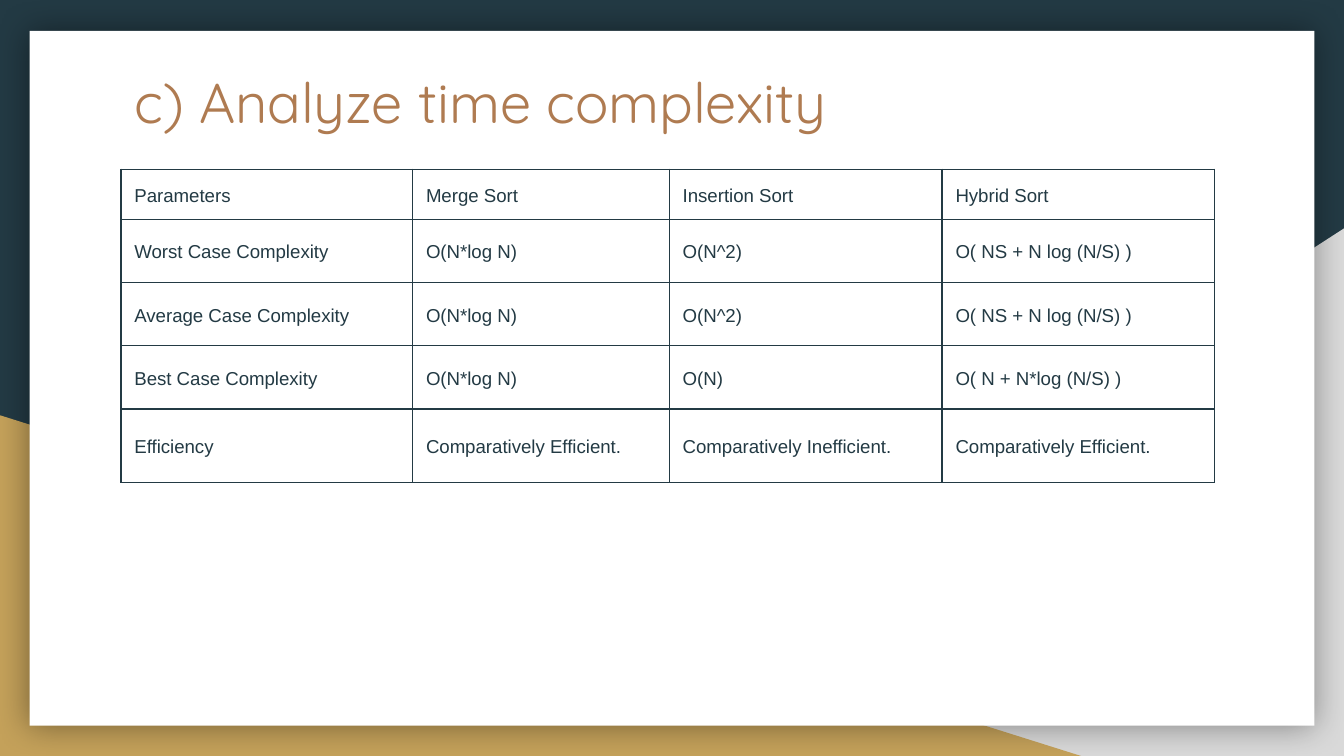
"""Build the time complexity comparison slide."""
from lxml import etree
from pptx import Presentation
from pptx import util as u
from pptx.dml.color import RGBColor
from pptx.enum import shapes, text
from pptx.oxml import parse_xml
from pptx.oxml.ns import nsdecls, qn

COLORS = {"ink": "233A44", "gold": "C4A15A", "grey": "D9D9D9",
          "paper": "FFFFFF", "copper": "AF7B51"}

COMPLEXITY = [
    ["Parameters", "Merge Sort", "Insertion Sort", "Hybrid Sort"],
    ["Worst Case Complexity", "O(N*log N)", "O(N^2)", "O( NS + N log (N/S) )"],
    ["Average Case Complexity", "O(N*log N)", "O(N^2)", "O( NS + N log (N/S) )"],
    ["Best Case Complexity", "O(N*log N)", "O(N)", "O( N + N*log (N/S) )"],
    ["Efficiency", "Comparatively Efficient.", "Comparatively Inefficient.",
     "Comparatively Efficient."],
]
COLUMN_WIDTHS = [2.17, 1.91, 2.03, 2.03]
ROW_HEIGHTS = [0.33, 0.39, 0.39, 0.39, 0.55]


def rgb(name):
    return RGBColor.from_string(COLORS[name])


def write(frame, words, *, size, font, color, spacing=None):
    paragraph = frame.paragraphs[0]
    paragraph.alignment = text.PP_ALIGN.LEFT
    if spacing:
        paragraph.line_spacing = spacing
    run = paragraph.add_run()
    run.text = words
    run.font.size = u.Pt(size)
    run.font.name = font
    run.font.color.rgb = rgb(color)


class Deck:
    def __init__(self):
        self.presentation = Presentation()
        self.presentation.slide_width = u.Inches(10)
        self.presentation.slide_height = u.Inches(10 * 9 / 16)
        self.slide = self.presentation.slides.add_slide(
            self.presentation.slide_layouts[5])

    def background(self, color):
        fill = self.slide.background.fill
        fill.solid()
        fill.fore_color.rgb = rgb(color)

    def panel(self, kind, box, color, flip=False):
        panel = self.slide.shapes.add_shape(kind, *map(u.Inches, box))
        panel.shadow.inherit = False
        panel.fill.solid()
        panel.fill.fore_color.rgb = rgb(color)
        panel.line.fill.background()
        if flip:
            panel._element.spPr.find(qn("a:xfrm")).set("flipH", "1")
        return panel

    def card(self, box, color):
        card = self.panel(shapes.MSO_SHAPE.RECTANGLE, box, color)
        effects = card._element.spPr.find(qn("a:effectLst"))
        effects.append(parse_xml(
            f'<a:outerShdw {nsdecls("a")} blurRad="{u.Pt(18)}" dist="0" dir="0" '
            'algn="ctr" rotWithShape="0"><a:srgbClr val="000000">'
            '<a:alpha val="40000"/></a:srgbClr></a:outerShdw>'))

    def title(self, words, box):
        title = self.slide.shapes.title
        title.left, title.top, title.width, title.height = map(u.Inches, box)
        frame = title.text_frame
        frame.word_wrap = True
        frame.auto_size = text.MSO_AUTO_SIZE.NONE
        frame.vertical_anchor = text.MSO_ANCHOR.TOP
        frame.margin_left = frame.margin_right = u.Inches(0.1)
        frame.margin_top = frame.margin_bottom = u.Inches(0.1)
        write(frame, words, size=30, font="Quicksand", color="copper")
        self.slide.shapes._spTree.append(title._element)

    def table(self, rows, left, top, widths, heights):
        table = self.slide.shapes.add_table(
            len(rows), len(widths), u.Inches(left), u.Inches(top),
            u.Inches(sum(widths)), u.Inches(sum(heights))).table
        table.first_row = table.horz_banding = False
        for column, width in zip(table.columns, widths):
            column.width = u.Inches(width)
        for index, (row, height) in enumerate(zip(rows, heights)):
            table.rows[index].height = u.Inches(height)
            for cell, words in zip(table.rows[index].cells, row):
                self.cell(cell, words, u.Pt(10.5 if index else 7))

    def cell(self, cell, words, padding):
        cell.margin_left = cell.margin_right = u.Inches(0.1)
        cell.margin_top = cell.margin_bottom = padding
        cell.vertical_anchor = text.MSO_ANCHOR.MIDDLE
        write(cell.text_frame, words, size=10, font="Arial", color="ink", spacing=1.15)
        properties = cell._tc.get_or_add_tcPr()
        for side in ("lnL", "lnR", "lnT", "lnB"):
            border = etree.SubElement(properties, qn(f"a:{side}"), w=str(u.Pt(0.75)))
            fill = etree.SubElement(border, qn("a:solidFill"))
            etree.SubElement(fill, qn("a:srgbClr"), val=COLORS["ink"])
        cell.fill.solid()
        cell.fill.fore_color.rgb = rgb("paper")


def main():
    deck = Deck()
    deck.background("ink")
    triangle = shapes.MSO_SHAPE.RIGHT_TRIANGLE
    deck.panel(triangle, (3.92, 1.7, 6.08, 3.93), "grey", flip=True)
    deck.panel(triangle, (0, 3.09, 8.06, 2.54), "gold")
    deck.card((0.22, 0.23, 9.56, 5.17), "paper")
    deck.title("c) Analyze time complexity", (0.9, 0.4, 8.21, 1.04))
    deck.table(COMPLEXITY, 0.9, 1.26, COLUMN_WIDTHS, ROW_HEIGHTS)
    deck.presentation.save("out.pptx")


if __name__ == "__main__":
    main()
